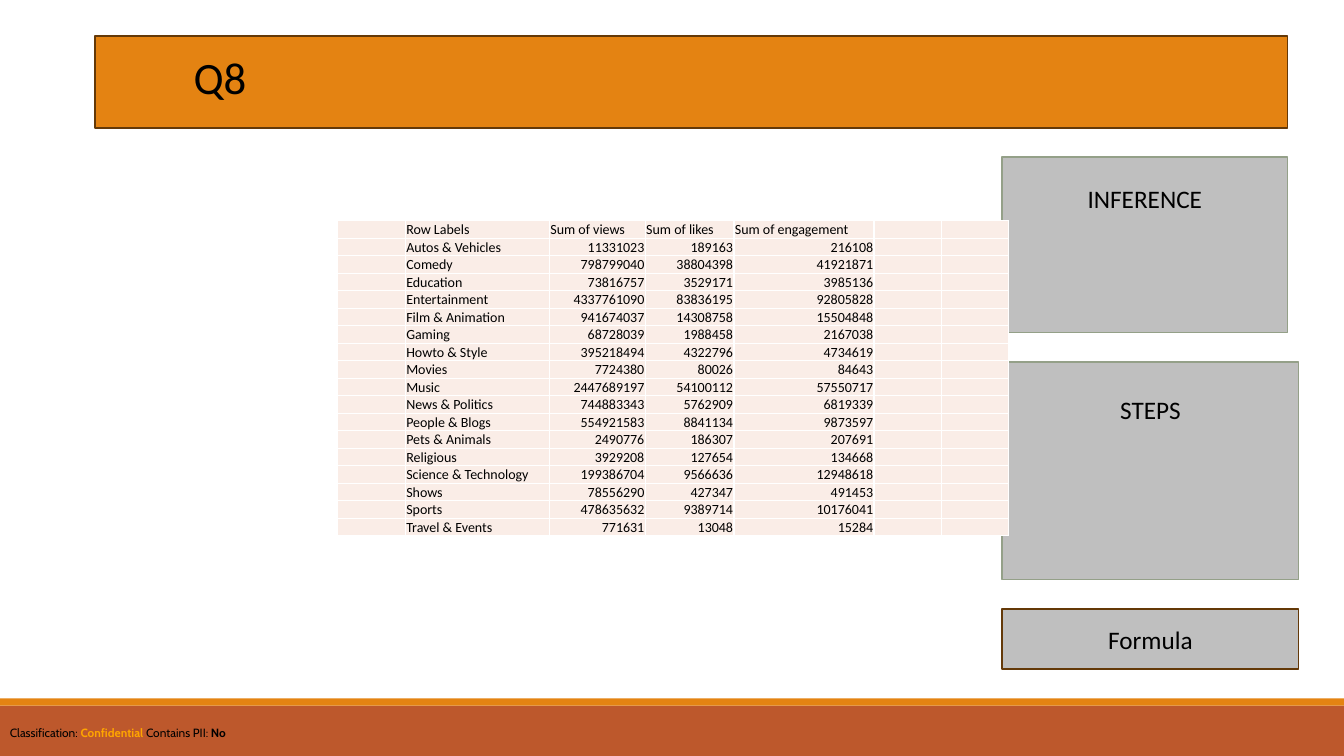
from lxml.etree import SubElement
from pptx import Presentation
from pptx.dml.color import RGBColor
from pptx.enum.shapes import MSO_SHAPE
from pptx.enum.text import MSO_ANCHOR, PP_ALIGN
from pptx.oxml.ns import qn
from pptx.util import Inches, Pt

BLACK = RGBColor(0x00, 0x00, 0x00)
ORANGE = RGBColor(0xE4, 0x83, 0x12)
RUST = RGBColor(0xBD, 0x58, 0x2C)
BROWN = RGBColor(0x64, 0x39, 0x08)
SAGE = RGBColor(0x94, 0xA0, 0x88)
GREY = RGBColor(0xBF, 0xBF, 0xBF)
BLUSH = RGBColor(0xFA, 0xED, 0xE7)
AMBER = RGBColor(0xFF, 0xA5, 0x00)

TITLE = "Q8"
FOOTER = [
    ("Classification: ", BLACK, False),
    ("Confidential", AMBER, True),
    (" Contains PII: ", BLACK, False),
    ("No", BLACK, True),
]
HEADERS = ("Row Labels", "Sum of views", "Sum of likes", "Sum of engagement")
CATEGORIES = [
    ("Autos & Vehicles", 11331023, 189163, 216108),
    ("Comedy", 798799040, 38804398, 41921871),
    ("Education", 73816757, 3529171, 3985136),
    ("Entertainment", 4337761090, 83836195, 92805828),
    ("Film & Animation", 941674037, 14308758, 15504848),
    ("Gaming", 68728039, 1988458, 2167038),
    ("Howto & Style", 395218494, 4322796, 4734619),
    ("Movies", 7724380, 80026, 84643),
    ("Music", 2447689197, 54100112, 57550717),
    ("News & Politics", 744883343, 5762909, 6819339),
    ("People & Blogs", 554921583, 8841134, 9873597),
    ("Pets & Animals", 2490776, 186307, 207691),
    ("Religious", 3929208, 127654, 134668),
    ("Science & Technology", 199386704, 9566636, 12948618),
    ("Shows", 78556290, 427347, 491453),
    ("Sports", 478635632, 9389714, 10176041),
    ("Travel & Events", 771631, 13048, 15284),
]
COLUMN_WIDTHS = (0.67, 1.43, 0.95, 0.88, 1.39, 0.67, 0.66)
TABLE_LEFT, TABLE_TOP, TABLE_HEIGHT = 3.35, 2.19, 3.13

# Side panels: label, width, height, outline, lines left free under the label
PANELS = [
    ("INFERENCE", 2.83, 1.74, SAGE, 3),
    ("STEPS", 2.94, 2.16, SAGE, 4),
    ("Formula", 2.94, 0.6, BROWN, 0),
]
PANEL_LEFT, PANEL_TOP, PANEL_GAP = 9.94, 1.56, 0.29
PANEL_LINE = 0.305

SLIDE_WIDTH, SLIDE_HEIGHT = 13.33, 7.5


def set_font(paragraph, size, name="Calibri"):
    paragraph.font.name = name
    paragraph.font.size = Pt(size)
    paragraph.font.color.rgb = BLACK


def add_block(page, left, top, width, height, fill, outline=None):
    block = page.shapes.add_shape(
        MSO_SHAPE.RECTANGLE, Inches(left), Inches(top), Inches(width), Inches(height))
    block.shadow.inherit = False
    block.fill.solid()
    block.fill.fore_color.rgb = fill
    if outline is None:
        block.line.fill.background()
    else:
        block.line.color.rgb = outline
        block.line.width = Pt(1.25)
    return block


def add_footer(page):
    add_block(page, 0, 7, SLIDE_WIDTH, 0.5, RUST)
    add_block(page, 0, 6.93, SLIDE_WIDTH, 0.07, ORANGE)
    box = page.shapes.add_textbox(
        0, Inches(7.15), Inches(SLIDE_WIDTH), Inches(0.24))
    box.text_frame.word_wrap = True
    para = box.text_frame.paragraphs[0]
    set_font(para, 8.5, "Cabin")
    for text, colour, bold in FOOTER:
        span = para.add_run()
        span.text = text
        span.font.color.rgb = colour
        span.font.bold = bold


def add_title(page):
    banner = add_block(page, 0.94, 0.36, 11.83, 0.91, ORANGE, BROWN)
    title = page.shapes.title
    banner.element.addnext(title.element)
    title.left, title.top = Inches(1.82), Inches(0.44)
    title.width, title.height = Inches(1.34), Inches(0.64)
    title.text_frame.text = TITLE
    para = title.text_frame.paragraphs[0]
    para.alignment = PP_ALIGN.LEFT
    set_font(para, 32)


def add_panels(page):
    top = PANEL_TOP
    for label, width, height, outline, free_lines in PANELS:
        panel = add_block(page, PANEL_LEFT, top, width, height, GREY, outline)
        frame = panel.text_frame
        frame.text = label
        frame.vertical_anchor = MSO_ANCHOR.MIDDLE
        frame.margin_bottom = Inches(0.05 + free_lines * PANEL_LINE)
        para = frame.paragraphs[0]
        para.alignment = PP_ALIGN.CENTER
        set_font(para, 18)
        top += height + PANEL_GAP


def add_white_borders(cell):
    properties = cell._tc.get_or_add_tcPr()
    for side in ("a:lnL", "a:lnR", "a:lnT", "a:lnB"):
        line = SubElement(properties, qn(side), w=str(Pt(1)))
        fill = SubElement(line, qn("a:solidFill"))
        SubElement(fill, qn("a:srgbClr"), val="FFFFFF")


def add_category_table(page):
    rows = [HEADERS] + CATEGORIES
    table = page.shapes.add_table(
        len(rows), len(COLUMN_WIDTHS), Inches(TABLE_LEFT), Inches(TABLE_TOP),
        Inches(sum(COLUMN_WIDTHS)), Inches(TABLE_HEIGHT)).table
    table.first_row = table.horz_banding = False
    for column, width in zip(table.columns, COLUMN_WIDTHS):
        column.width = Inches(width)
    for row_index, values in enumerate(rows):
        for column_index, value in enumerate(("", *values, "", "")):
            cell = table.cell(row_index, column_index)
            add_white_borders(cell)
            cell.fill.solid()
            cell.fill.fore_color.rgb = BLUSH
            cell.margin_left = cell.margin_right = Inches(0.01)
            cell.margin_top = cell.margin_bottom = 0
            cell.vertical_anchor = MSO_ANCHOR.BOTTOM
            cell.text = str(value)
            para = cell.text_frame.paragraphs[0]
            set_font(para, 10)
            if isinstance(value, int):
                para.alignment = PP_ALIGN.RIGHT


def main():
    deck = Presentation()
    deck.slide_width, deck.slide_height = Inches(SLIDE_WIDTH), Inches(SLIDE_HEIGHT)
    page = deck.slides.add_slide(deck.slide_layouts.get_by_name("Title Only"))
    add_footer(page)
    add_title(page)
    add_panels(page)
    add_category_table(page)
    deck.save("out.pptx")


if __name__ == "__main__":
    main()
